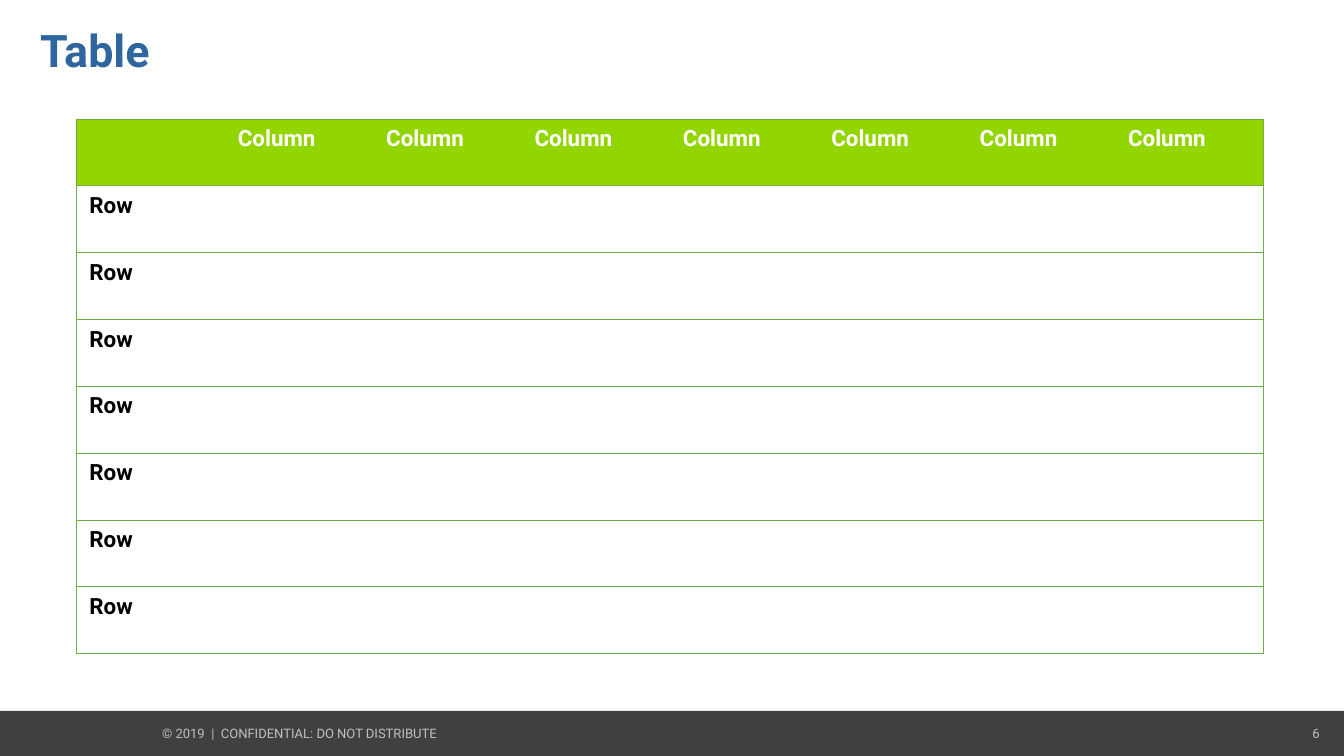
"""Build a slide with a titled table of rows and columns above a footer bar."""
import lxml.etree
import pptx
import pptx.dml.color
import pptx.enum.text
import pptx.oxml.ns
import pptx.util

PX = 914400 / 134.4
RGB = pptx.dml.color.RGBColor.from_string
ALIGN = pptx.enum.text.PP_ALIGN
ANCHOR = pptx.enum.text.MSO_ANCHOR
THEME = {
    "font": "Roboto", "bar": "404040", "header": "93D500", "border": "70AD47", "border_pt": 0.5,
    "title": {"size": 24, "bold": True, "color": "2F66A0"},
    "column": {"size": 12, "bold": True, "color": "FFFFFF"},
    "row": {"size": 12, "bold": True, "color": "000000"},
    "footer": {"size": 7, "bold": False, "color": "BFBFBF"},
}


def px(n):
    return round(n * PX)


def write(tf, text, style):
    fmt = THEME[style]
    p = tf.paragraphs[0]
    r = p.add_run()
    r.text = text
    values = {"name": THEME["font"], "size": pptx.util.Pt(fmt["size"]), "bold": fmt["bold"]}
    for key, value in values.items():
        setattr(r.font, key, value)
    r.font.color.rgb = RGB(fmt["color"])
    return p


prs = pptx.Presentation()
prs.slide_width, prs.slide_height = px(1344), px(756)
s = prs.slides.add_slide(prs.slide_layouts[6])

sp = s.shapes.add_shape(pptx.enum.shapes.MSO_SHAPE.RECTANGLE, 0, px(711), px(1344), px(45))
sp.shadow.inherit = False
sp.fill.solid()
sp.fill.fore_color.rgb = RGB(THEME["bar"])
sp.line.fill.background()

texts = [
    ("© 2019  |  CONFIDENTIAL: DO NOT DISTRIBUTE", "footer", (149, 719, 343, 30),
     ANCHOR.TOP, {"alignment": ALIGN.LEFT}),
    ("6", "footer", (1286, 718, 47, 31), ANCHOR.MIDDLE, {"alignment": ALIGN.RIGHT}),
    ("Table", "title", (27, 20, 1223, 66), ANCHOR.MIDDLE,
     {"alignment": ALIGN.LEFT, "line_spacing": 0.9}),
]
for text, style, box, anchor, layout in texts:
    tf = s.shapes.add_textbox(*map(px, box)).text_frame
    for key, value in {"word_wrap": True, "vertical_anchor": anchor}.items():
        setattr(tf, key, value)
    p = write(tf, text, style)
    for key, value in layout.items():
        setattr(p, key, value)

COUNT = 8
table = s.shapes.add_table(COUNT, COUNT, px(76), px(119), px(1187), px(535)).table
for key in ("first_row", "horz_banding"):
    setattr(table, key, False)
for col in table.columns:
    col.width = px(1187) // COUNT
for row in table.rows:
    row.height = px(535) // COUNT

qn = pptx.oxml.ns.qn
for i in range(COUNT):
    for j in range(COUNT):
        cell = table.cell(i, j)
        tcPr = cell._tc.get_or_add_tcPr()
        edges = {"a:lnL": j == 0, "a:lnR": j == COUNT - 1, "a:lnT": True, "a:lnB": True}
        for tag, drawn in edges.items():
            ln = lxml.etree.SubElement(tcPr, qn(tag), w=str(pptx.util.Pt(THEME["border_pt"])))
            fill = lxml.etree.SubElement(ln, qn("a:solidFill" if drawn else "a:noFill"))
            if drawn:
                lxml.etree.SubElement(fill, qn("a:srgbClr"), val=THEME["border"])
        if i == 0:
            cell.fill.solid()
            cell.fill.fore_color.rgb = RGB(THEME["header"])
        else:
            cell.fill.background()
        if i == 0 and j > 0:
            write(cell.text_frame, "Column", "column")
        elif i > 0 and j == 0:
            write(cell.text_frame, "Row", "row")

prs.save("out.pptx")
